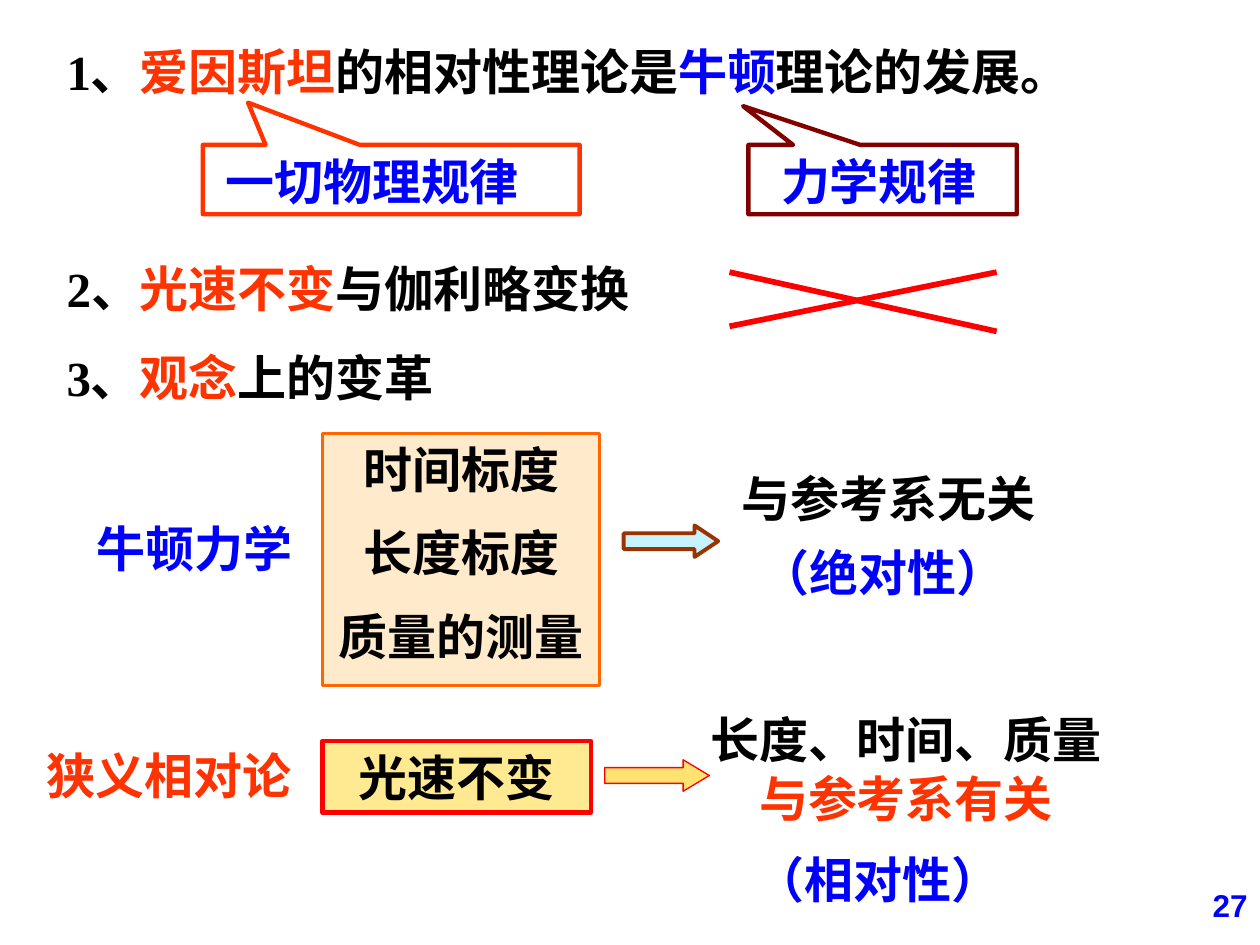
"""Build the slide comparing Newtonian mechanics with special relativity."""
from lxml.etree import SubElement
from pptx import Presentation
from pptx.dml.color import RGBColor
from pptx.enum.shapes import MSO_CONNECTOR, MSO_SHAPE
from pptx.enum.text import MSO_ANCHOR, PP_ALIGN
from pptx.oxml.ns import qn
from pptx.util import Inches, Pt

BLACK, BLUE, RED, ORANGE = "000000", "0000FF", "FF0000", "FF3300"
HAN, ROMAN = "Noto Sans CJK SC", "Times New Roman"
LEFT, MID, RIGHT = PP_ALIGN.LEFT, PP_ALIGN.CENTER, PP_ALIGN.RIGHT

POINTS = [
    (0.28, 9.17, "1、", [("爱因斯坦", ORANGE), ("的相对性理论是", BLACK),
                        ("牛顿", BLUE), ("理论的发展。", BLACK)]),
    (2, 6.39, "2、", [("光速不变", ORANGE), ("与伽利略变换", BLACK)]),
    (2.71, 3.83, "3、", [("观念", ORANGE), ("上的变革", BLACK)]),
]
LABELS = [
    ((0.67, 4.07, 2.17, 0.57), LEFT, [("牛顿力学", BLUE)]),
    ((5.79, 3.67, 3.83, 0.57), LEFT, [("与参考系无关", BLACK)]),
    ((5.94, 4.26, 2.75, 0.57), LEFT, [("（绝对性）", BLUE)]),
    ((0.27, 5.87, 2.4, 0.61), LEFT, [("狭义相对论", ORANGE)]),
    ((5.44, 5.58, 3.5, 1.04), MID, [("长度、时间、质量", BLACK), ("与参考系有关", ORANGE)]),
    ((5.9, 6.69, 2.83, 0.57), LEFT, [("（相对性）", BLUE)]),
    ((1.69, 1.15, 2.99, 0.57), LEFT, [("一切物理规律", BLUE)]),
    ((6.1, 1.15, 2.19, 0.57), LEFT, [("力学规律", BLUE)]),
]
BOXES = [
    ((2.56, 3.44, 2.2, 2), ("FF9900", 20), ("FF6600", 2), MSO_ANCHOR.TOP,
     ["时间标度", "长度标度", "质量的测量"]),
    ((2.56, 5.88, 2.13, 0.57), ("FFCC00", 43), (RED, 2.5), MSO_ANCHOR.MIDDLE, ["光速不变"]),
]
ARROWS = [
    ((4.95, 4.17, 0.75, 0.25), ("00CCFF", 22), ("993300", 2.25), (0.5, 0.75)),
    ((4.8, 6.03, 0.83, 0.25), ("FFCC00", 56), (RED, 0.75), (0.5, 0.83)),
]
CALLOUTS = [
    ((1.61, 1.15, 2.99, 0.55), (ORANGE, 2.5), (-0.38, -1.11)),
    ((5.94, 1.15, 2.13, 0.55), ("800000", 2.5), (-0.52, -1.06)),
]
CROSS = [(5.79, 2.16, 7.91, 2.63), (5.79, 2.59, 7.91, 2.16)]


def paint(hue):
    return RGBColor.from_string(hue)


def style(run, hue, face=HAN, size=28):
    font = run.font
    font.name, font.size, font.bold = face, Pt(size), True
    font.color.rgb = paint(hue)
    SubElement(run._r.get_or_add_rPr(), qn("a:ea")).set("typeface", HAN)


def write(frame, lines, align, gap=0):
    frame.text = "\n".join(text for text, _ in lines)
    for rank, (para, (_, hue)) in enumerate(zip(frame.paragraphs, lines)):
        para.alignment = align
        if rank and gap:
            para.space_before = Pt(gap)
        style(para.runs[0], hue)


def add_text(slide, place):
    frame = slide.shapes.add_textbox(*map(Inches, place)).text_frame
    frame.word_wrap = True
    return frame


def add_form(slide, kind, place, fill, line, knobs=()):
    form = slide.shapes.add_shape(kind, *map(Inches, place))
    form.shadow.inherit = False
    for rank, knob in enumerate(knobs):
        form.adjustments[rank] = knob
    if fill:
        hue, alpha = fill
        form.fill.solid()
        form.fill.fore_color.rgb = paint(hue)
        tone = form._element.spPr.find(qn("a:solidFill"))[0]
        SubElement(tone, qn("a:alpha")).set("val", str(alpha * 1000))
    else:
        form.fill.background()
    form.line.color.rgb, form.line.width = paint(line[0]), Pt(line[1])
    return form


def add_line(slide, ends):
    line = slide.shapes.add_connector(MSO_CONNECTOR.STRAIGHT, *map(Inches, ends))
    line.line.color.rgb, line.line.width = paint(RED), Pt(3.25)
    SubElement(line._element.spPr, qn("a:effectLst"))


def main():
    deck = Presentation()
    deck.slide_width, deck.slide_height = Inches(10), Inches(7.5)
    slide = deck.slides.add_slide(deck.slide_layouts[6])

    for top, width, mark, parts in POINTS:
        para = add_text(slide, (0.43, top, width, 0.57)).paragraphs[0]
        for text, hue in [(mark, BLACK)] + parts:
            run = para.add_run()
            run.text = text
            style(run, hue, ROMAN if text == mark else HAN)
    for place, fill, line, anchor, lines in BOXES:
        frame = add_form(slide, MSO_SHAPE.RECTANGLE, place, fill, line).text_frame
        frame.vertical_anchor = anchor
        frame.word_wrap = anchor == MSO_ANCHOR.TOP
        write(frame, [(text, BLACK) for text in lines], MID, 14)
    for place, align, lines in LABELS:
        write(add_text(slide, place), lines, align)
    for place, fill, line, knobs in ARROWS:
        add_form(slide, MSO_SHAPE.RIGHT_ARROW, place, fill, line, knobs)
    for place, line, knobs in CALLOUTS:
        add_form(slide, MSO_SHAPE.RECTANGULAR_CALLOUT, place, None, line, knobs)
    for ends in CROSS:
        add_line(slide, ends)

    page = add_text(slide, (7.67, 6.98, 2.33, 0.52)).paragraphs[0]
    page.text, page.alignment = "27", RIGHT
    style(page.runs[0], BLUE, "Arial", 18)
    deck.save("out.pptx")


if __name__ == "__main__":
    main()
